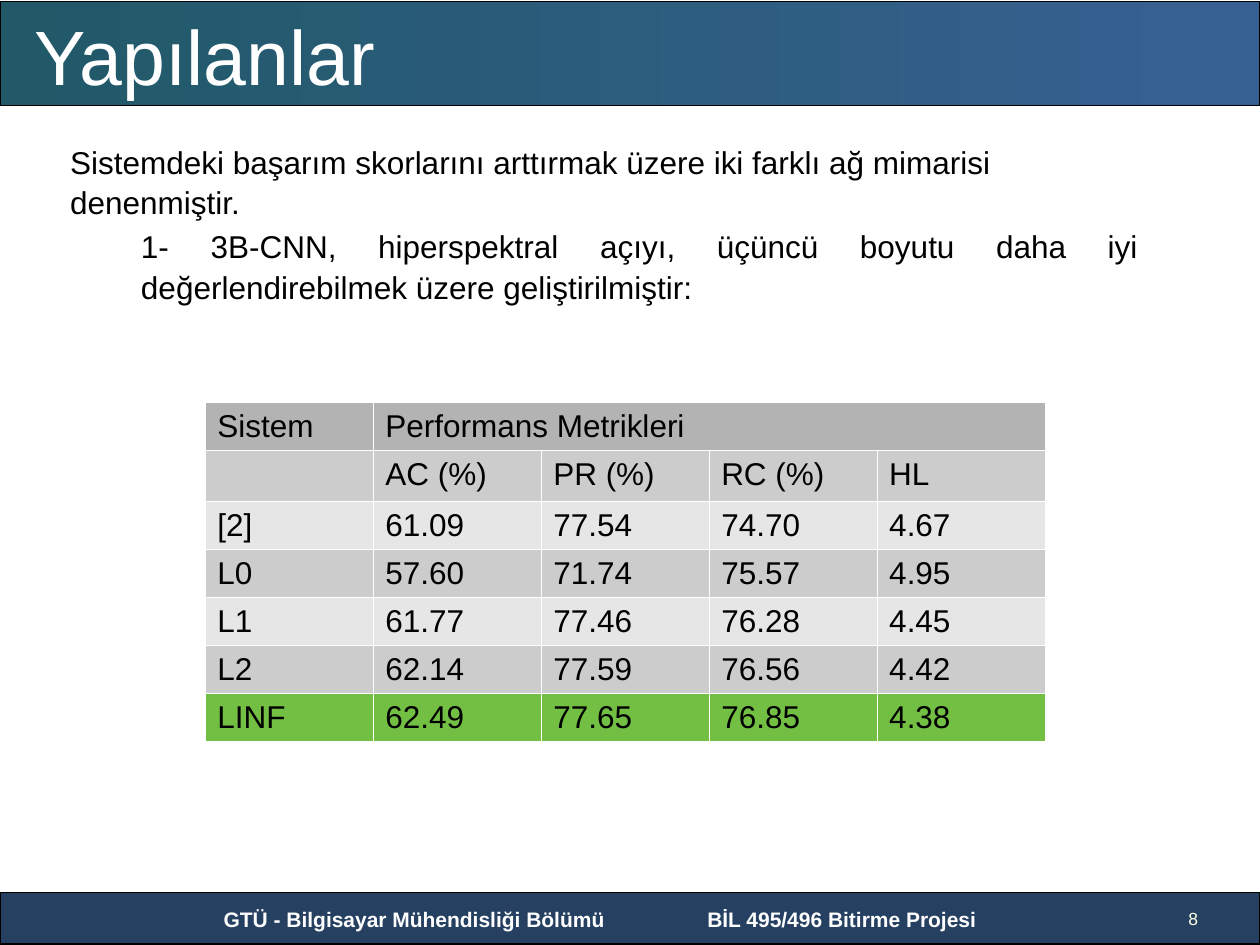
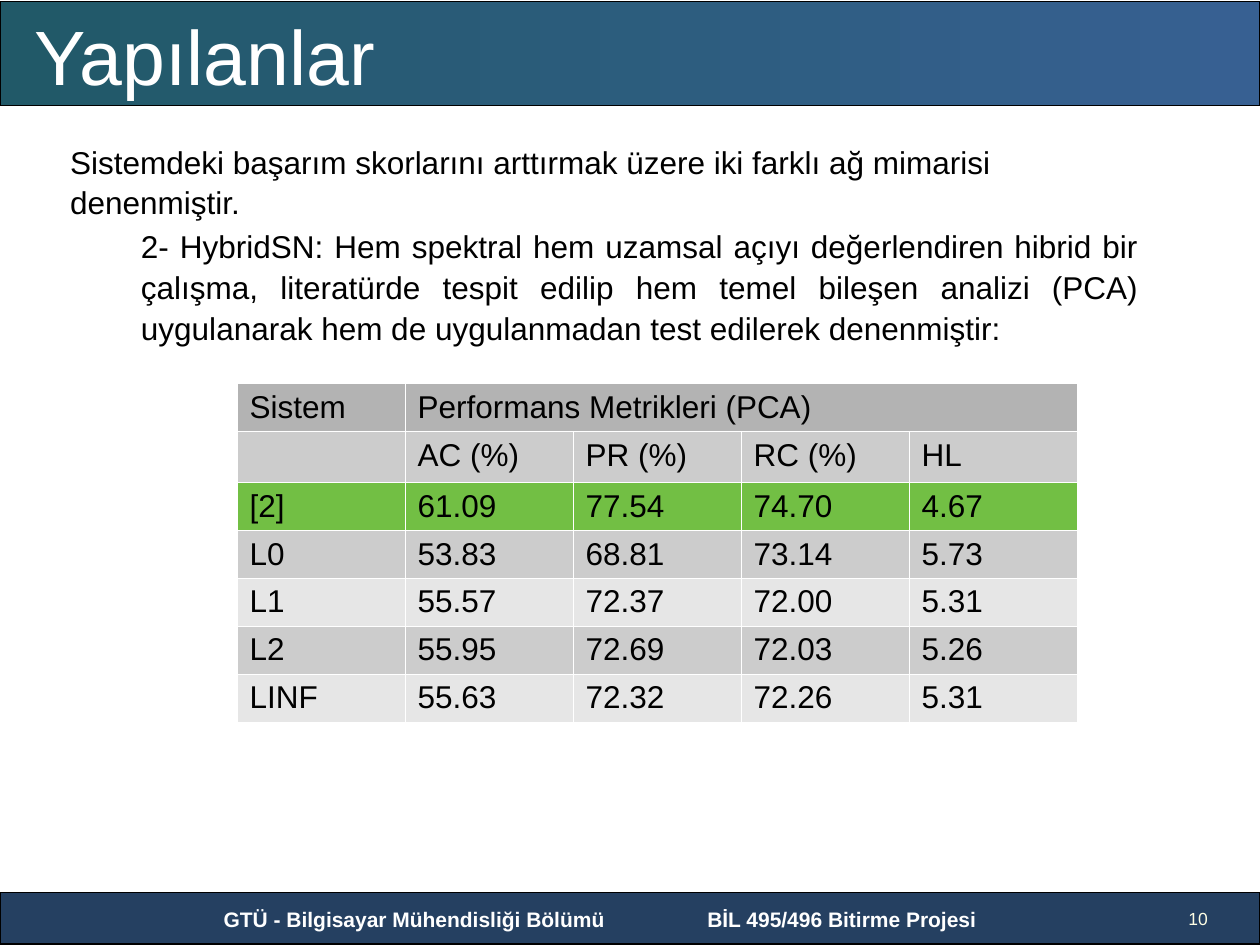
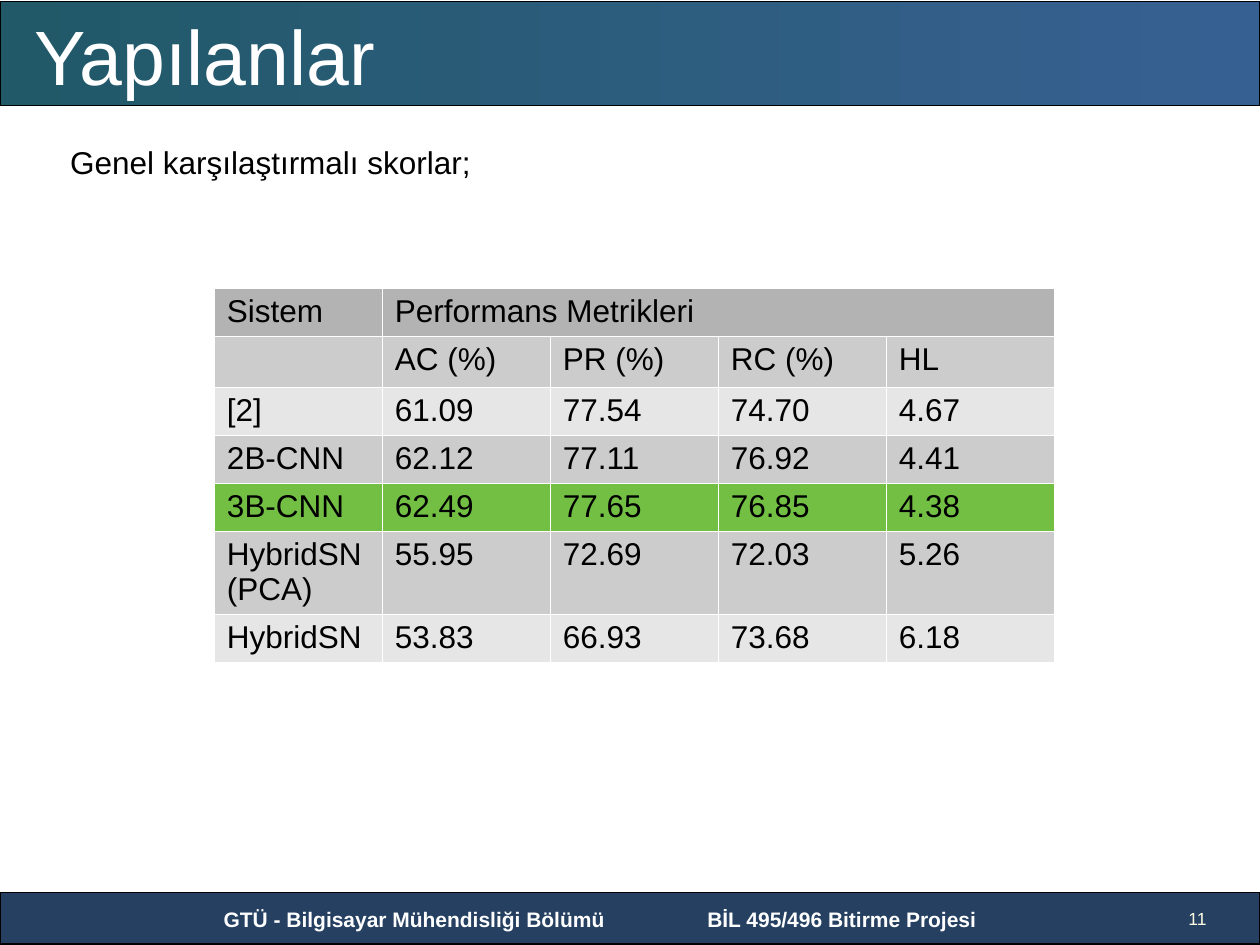
from lxml import etree
from pptx import Presentation
from pptx.dml.color import RGBColor
from pptx.enum.shapes import MSO_SHAPE
from pptx.enum.text import MSO_ANCHOR, MSO_AUTO_SIZE, PP_ALIGN
from pptx.oxml.ns import qn
from pptx.util import Pt

RECT = MSO_SHAPE.RECTANGLE
TOP, MIDDLE = MSO_ANCHOR.TOP, MSO_ANCHOR.MIDDLE
FIXED = MSO_AUTO_SIZE.NONE
LEFT, CENTER, JUSTIFY = PP_ALIGN.LEFT, PP_ALIGN.CENTER, PP_ALIGN.JUSTIFY

BLACK = RGBColor(0x00, 0x00, 0x00)
WHITE = RGBColor(0xFF, 0xFF, 0xFF)
CREAM = RGBColor(0xFF, 0xFF, 0xE5)
NAVY = RGBColor(0x25, 0x40, 0x61)
TEAL = RGBColor(0x21, 0x59, 0x68)
BLUE = RGBColor(0x37, 0x60, 0x92)
DARK = RGBColor(0xB3, 0xB3, 0xB3)
GREY = RGBColor(0xCC, 0xCC, 0xCC)
PALE = RGBColor(0xE6, 0xE6, 0xE6)
GREEN = RGBColor(0x72, 0xBF, 0x44)

FONT = "Arial"
WIDE, HIGH = 720, 540
HEAD = (0, 0.75, WIDE, 59.75)
FOOT = (0, 510, WIDE, 29.5)
INSETS = {"margin_left": Pt(7.2), "margin_right": Pt(7.2),
          "margin_top": Pt(3.6), "margin_bottom": Pt(3.6)}
FRAME = {"word_wrap": True, "auto_size": FIXED, **INSETS}
LEAD = 1.08
COL, ROW = 96, 27.36
EDGE = 762

INTRO = ("Sistemdeki başarım skorlarını arttırmak üzere iki farklı "
         "ağ mimarisi denenmiştir.")
BASE = "[2] 61.09 77.54 74.70 4.67".split()
METRICS = ["", "AC (%)", "PR (%)", "RC (%)", "HL"]

SLIDES = [
    {"page": "8", "intro": INTRO,
     "detail": "1- 3B-CNN, hiperspektral açıyı, üçüncü boyutu daha iyi "
               "değerlendirebilmek üzere geliştirilmiştir:",
     "spot": (117, 230), "head": "Performans Metrikleri", "best": 6,
     "rows": [BASE,
              ["L0", "57.60", "71.74", "75.57", "4.95"],
              ["L1", "61.77", "77.46", "76.28", "4.45"],
              ["L2", "62.14", "77.59", "76.56", "4.42"],
              ["LINF", "62.49", "77.65", "76.85", "4.38"]]},
    {"page": "10", "intro": INTRO,
     "detail": "2- HybridSN: Hem spektral hem uzamsal açıyı değerlendiren "
               "hibrid bir çalışma, literatürde tespit edilip hem temel "
               "bileşen analizi (PCA) uygulanarak hem de uygulanmadan test "
               "edilerek denenmiştir:",
     "spot": (135.5, 219), "head": "Performans Metrikleri (PCA)", "best": 2,
     "rows": [BASE,
              ["L0", "53.83", "68.81", "73.14", "5.73"],
              ["L1", "55.57", "72.37", "72.00", "5.31"],
              ["L2", "55.95", "72.69", "72.03", "5.26"],
              ["LINF", "55.63", "72.32", "72.26", "5.31"]]},
    {"page": "11", "intro": "Genel karşılaştırmalı skorlar;",
     "detail": None,
     "spot": (122.5, 164.5), "head": "Performans Metrikleri", "best": 4,
     "rows": [BASE,
              ["2B-CNN", "62.12", "77.11", "76.92", "4.41"],
              ["3B-CNN", "62.49", "77.65", "76.85", "4.38"],
              ["HybridSN (PCA)", "55.95", "72.69", "72.03", "5.26"],
              ["HybridSN ", "53.83", "66.93", "73.68", "6.18"]]},
]


def apply(obj, values):
    """Set each named attribute of an object."""
    for name, value in values.items():
        setattr(obj, name, value)


def points(box):
    """Turn a box of numbers into lengths."""
    return [Pt(n) for n in box]


def write(frame, text, size=18, color=BLACK, bold=False, align=LEFT, lead=1.0):
    """Fill a text frame with one styled paragraph."""
    para = frame.paragraphs[0]
    apply(para, {"alignment": align, "line_spacing": lead})
    run = para.add_run()
    run.text = text
    apply(run.font, {"name": FONT, "size": Pt(size), "bold": bold})
    run.font.color.rgb = color


def label(slide, box, text, **style):
    """Add a wrapped text box."""
    frame = slide.shapes.add_textbox(*points(box)).text_frame
    apply(frame, {"vertical_anchor": TOP, **FRAME})
    write(frame, text, **style)


def band(slide, box):
    """Add an outlined bar behind the title and return it."""
    bar = slide.shapes.add_shape(RECT, *points(box))
    bar.shadow.inherit = False
    bar.line.color.rgb = BLACK
    bar.line.width = Pt(0.75)
    slide.shapes.title.element.addprevious(bar.element)
    return bar


def header(slide, box, text):
    """Draw the gradient bar and place the title on it."""
    fill = band(slide, box).fill
    fill.gradient()
    fill.gradient_angle = 0
    for stop, color, place in zip(fill.gradient_stops, (TEAL, BLUE), (0, 1)):
        stop.color.rgb = color
        stop.position = place
    x, y, _, high = box
    title = slide.shapes.title
    names = ("left", "top", "width", "height")
    apply(title, dict(zip(names, points((x + 12.25, y + 8, 618, high - 14.5)))))
    apply(title.text_frame, {"vertical_anchor": MIDDLE, **FRAME})
    write(title.text_frame, text, size=44, color=WHITE)


def footer(slide, box, page):
    """Draw the bottom bar with its two labels and page number."""
    fill = band(slide, box).fill
    fill.solid()
    fill.fore_color.rgb = NAVY
    x, y = box[:2]
    style = {"size": 12, "color": WHITE, "bold": True, "align": CENTER}
    label(slide, (x + 114, y + 4.75, 245.5, 21.5),
          "GTÜ - Bilgisayar Mühendisliği Bölümü", **style)
    label(slide, (x + 360, y + 4.25, 245.5, 21.5),
          "BİL 495/496 Bitirme Projesi ", **style)
    label(slide, (x + 672, y + 6.25, 36, 6), page, size=10, color=CREAM)


def border(cell):
    """Give a cell thin white edges."""
    props = cell._tc.get_or_add_tcPr()
    for side in ("a:lnL", "a:lnR", "a:lnT", "a:lnB"):
        line = etree.SubElement(props, qn(side), w=str(EDGE))
        fill = etree.SubElement(line, qn("a:solidFill"))
        etree.SubElement(fill, qn("a:srgbClr"), val=str(WHITE))


def scores(slide, spot, head, rows, best):
    """Build the score table with its best row in green."""
    grid = [["Sistem", head, "", "", ""], METRICS, *rows]
    box = (*spot, COL * len(METRICS), ROW * len(grid))
    table = slide.shapes.add_table(
        len(grid), len(METRICS), *points(box)).table
    apply(table, {"first_row": False, "horz_banding": False})
    for col in table.columns:
        col.width = Pt(COL)
    for r, line in enumerate(grid):
        table.rows[r].height = Pt(ROW)
        shade = {0: DARK, best: GREEN}.get(r, GREY if r % 2 else PALE)
        for c, text in enumerate(line):
            cell = table.cell(r, c)
            apply(cell, INSETS)
            border(cell)
            cell.fill.solid()
            cell.fill.fore_color.rgb = shade
            if text:
                write(cell.text_frame, text, align=JUSTIFY)
    table.cell(0, 1).merge(table.cell(0, len(METRICS) - 1))


def body(slide, box, intro, detail):
    """Place the lead sentence and the indented detail."""
    x, y, wide, high = box
    label(slide, (x, y, wide, 27.5), intro, lead=LEAD)
    if detail:
        label(slide, (x + 40.5, y + 48.25, wide - 57, high - 48.25), detail,
              align=JUSTIFY, lead=LEAD)


def main():
    """Build and save the deck."""
    deck = Presentation()
    apply(deck, {"slide_width": Pt(WIDE), "slide_height": Pt(HIGH)})
    for data in SLIDES:
        slide = deck.slides.add_slide(deck.slide_layouts[5])
        header(slide, HEAD, "Yapılanlar")
        footer(slide, FOOT, data["page"])
        body(slide, (33, 76.25, 641, 116), data["intro"], data["detail"])
        scores(slide, data["spot"], data["head"], data["rows"], data["best"])
    deck.save("out.pptx")


if __name__ == "__main__":
    main()
